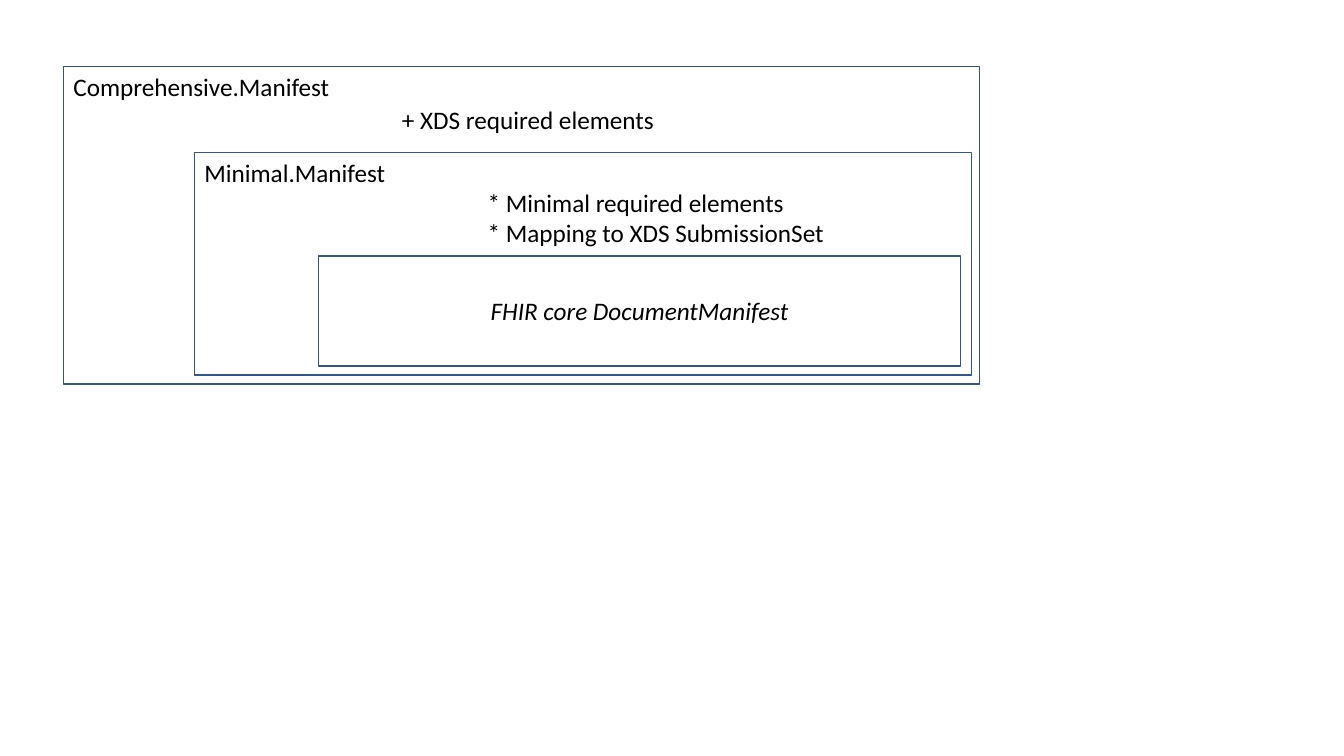
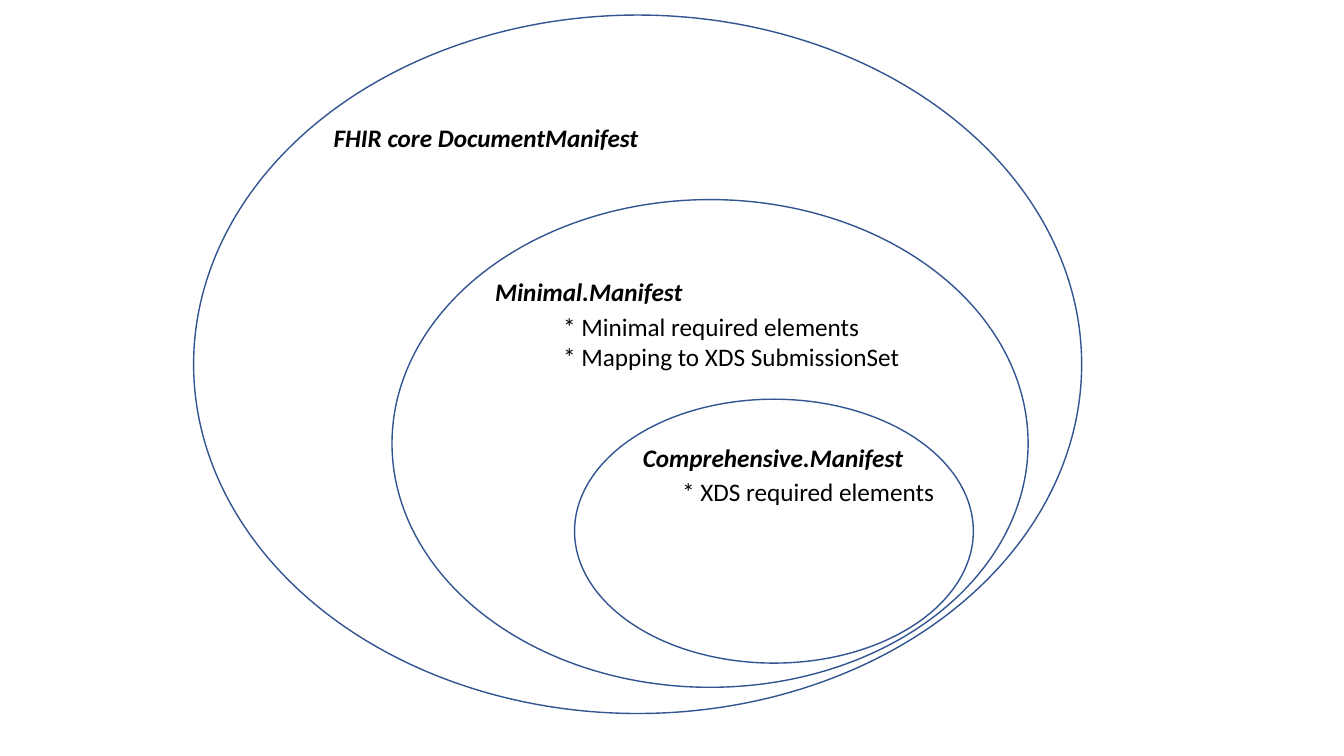
from dataclasses import dataclass

from pptx import Presentation
from pptx.dml.color import RGBColor
from pptx.enum.shapes import MSO_SHAPE
from pptx.enum.text import MSO_ANCHOR, PP_ALIGN
from pptx.util import Cm, Pt

RECTANGLE, OVAL = MSO_SHAPE.RECTANGLE, MSO_SHAPE.OVAL
TOP, MIDDLE = MSO_ANCHOR.TOP, MSO_ANCHOR.MIDDLE
LEFT, CENTER = PP_ALIGN.LEFT, PP_ALIGN.CENTER
BLANK_LAYOUT = 6


@dataclass(frozen=True)
class Theme:
    font: str = "Calibri"
    size: Pt = Pt(18)
    text: RGBColor = RGBColor(0x00, 0x00, 0x00)
    outline: RGBColor = RGBColor(0x32, 0x54, 0x91)
    outline_width: Pt = Pt(1)


THEME = Theme()


def write_lines(shape, lines, anchor=TOP, align=LEFT, bold=False, italic=False):
    """Fill a shape with one paragraph per line."""
    frame = shape.text_frame
    frame.word_wrap = True
    frame.vertical_anchor = anchor
    for index, line in enumerate(lines):
        paragraph = frame.add_paragraph() if index else frame.paragraphs[0]
        paragraph.alignment = align
        run = paragraph.add_run()
        run.text = line
        run.font.name = THEME.font
        run.font.size = THEME.size
        run.font.color.rgb = THEME.text
        run.font.bold = bold
        run.font.italic = italic


def add_level(slide, outline, box, name, **style):
    """Draw one nested level as an unfilled outline with its name."""
    level = slide.shapes.add_shape(outline, *map(Cm, box))
    level.shadow.inherit = False
    level.fill.background()
    level.line.color.rgb = THEME.outline
    level.line.width = THEME.outline_width
    write_lines(level, [name], **style)


CORE = "FHIR core DocumentManifest"
MINIMAL = "Minimal.Manifest"
COMPREHENSIVE = "Comprehensive.Manifest"
MINIMAL_RULES = ["* Minimal required elements", "* Mapping to XDS SubmissionSet"]
MINIMAL_RULES_SIZE = (9.09, 1.8)
XDS_RULE_SIZE = (7.06, 1.02)

prs = Presentation()
prs.slide_width, prs.slide_height = Cm(33.87), Cm(19.05)
layers_slide, subsets_slide = [
    prs.slides.add_slide(prs.slide_layouts[BLANK_LAYOUT]) for _ in range(2)
]

# Slide 1: each profile wraps the one it builds on
add_level(layers_slide, RECTANGLE, (1.6, 1.68, 23.09, 8), COMPREHENSIVE)
add_level(layers_slide, RECTANGLE, (4.9, 3.84, 19.58, 5.61), MINIMAL)
add_level(layers_slide, RECTANGLE, (8.03, 6.45, 16.18, 2.77), CORE,
          anchor=MIDDLE, align=CENTER, italic=True)

# Slide 2: each profile is a subset of the wider one
subsets = [
    (CORE, (4.88, 0.38, 22.38, 17.6)),
    (MINIMAL, (9.88, 5.03, 16.03, 12.29)),
    (COMPREHENSIVE, (14.48, 10.06, 10.05, 6.65)),
]
for name, box in subsets:
    add_level(subsets_slide, OVAL, box, name, bold=True, italic=True)

# Rules that each profile adds, on both slides
rules = [
    (layers_slide, (12.04, 4.6), MINIMAL_RULES_SIZE, MINIMAL_RULES),
    (layers_slide, (9.88, 2.51), XDS_RULE_SIZE, ["+ XDS required elements"]),
    (subsets_slide, (13.94, 7.72), MINIMAL_RULES_SIZE, MINIMAL_RULES),
    (subsets_slide, (16.94, 11.89), XDS_RULE_SIZE, ["* XDS required elements"]),
]
for slide, position, size, lines in rules:
    write_lines(slide.shapes.add_textbox(*map(Cm, position + size)), lines)

prs.save("out.pptx")
